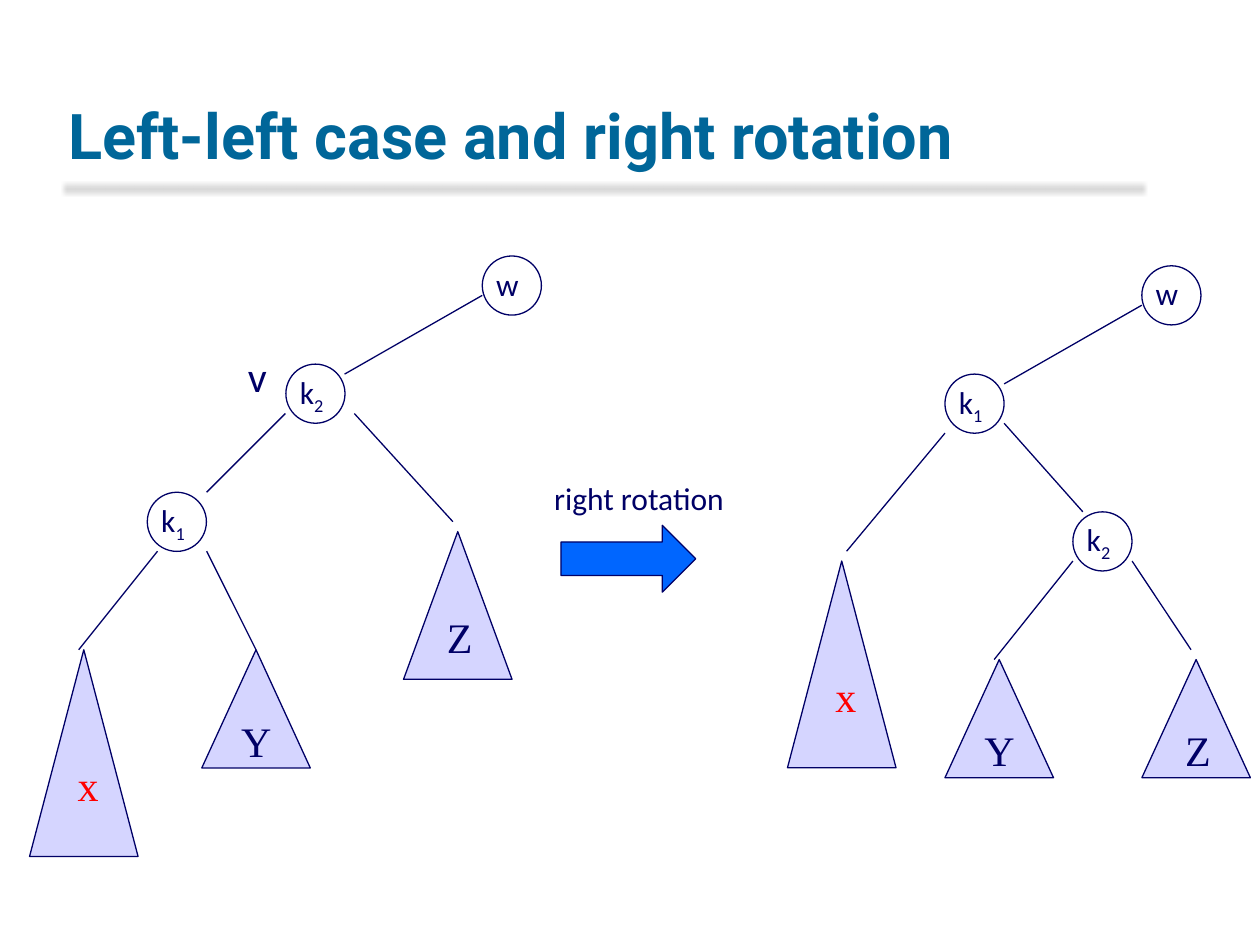
from lxml.etree import SubElement
from pptx import Presentation
from pptx.dml.color import RGBColor
from pptx.enum.shapes import MSO_CONNECTOR, MSO_SHAPE
from pptx.enum.text import MSO_ANCHOR, MSO_AUTO_SIZE, PP_ALIGN
from pptx.oxml.ns import qn
from pptx.util import Pt

COLORS = {
    "title": "006699",
    "rule": "D9D9D9",
    "ink": "000066",
    "subtree": "D5D5FF",
    "changed": "FF0000",
    "arrow": "0066FF",
}
NODE_SIZE = 33.8
SUBTREE_WIDTH = 62

NODES = [
    ("k", "2", 163.4, 208.1),
    ("k", "1", 84.2, 281.3),
    ("w", "", 275.6, 146.3),
    ("k", "2", 613.1, 292.5),
    ("k", "1", 540, 213.8),
    ("w", "", 652.5, 151.9),
]
EDGES = [
    (90, 315, 45, 371.3),
    (163.1, 236.3, 118.1, 281.3),
    (118.1, 315, 146.3, 371.3),
    (202.5, 236.3, 258.8, 298.1),
    (196.9, 213.8, 275.6, 168.8),
    (613.1, 320.6, 568.1, 376.9),
    (540, 247.5, 483.8, 315),
    (646.9, 320.6, 680.6, 371.3),
    (573.8, 241.9, 618.8, 292.5),
    (573.8, 219.4, 652.5, 174.4),
]
SUBTREES = [
    ("Y", 115.3, 371.3, 67.5, "ink"),
    ("Z", 230.6, 303.8, 84.4, "ink"),
    ("x", 16.9, 371.3, 118.1, "changed"),
    ("Y", 540, 376.9, 67.5, "ink"),
    ("Z", 652.5, 376.9, 67.5, "ink"),
    ("x", 450, 320.6, 118.1, "changed"),
]


def color(name):
    return RGBColor.from_string(COLORS[name])


def add_run(para, text, font, size, color_name, subscript=False):
    span = para.add_run()
    span.text = text
    span.font.name = font
    span.font.size = Pt(size)
    span.font.color.rgb = color(color_name)
    if subscript:
        span.font._element.set("baseline", "-25000")
    return span


def add_outline(shapes, kind, left, top, width, height, fill=None):
    shape = shapes.add_shape(kind, Pt(left), Pt(top), Pt(width), Pt(height))
    shape.shadow.inherit = False
    if fill:
        shape.fill.solid()
        shape.fill.fore_color.rgb = color(fill)
    else:
        shape.fill.background()
    shape.line.color.rgb = color("ink")
    shape.line.width = Pt(0.75)
    return shape


def add_label(shapes, text, left, top, width, height, size, subscript=""):
    box = shapes.add_textbox(Pt(left), Pt(top), Pt(width), Pt(height))
    box.text_frame.word_wrap = False
    box.text_frame.auto_size = MSO_AUTO_SIZE.SHAPE_TO_FIT_TEXT
    para = box.text_frame.paragraphs[0]
    add_run(para, text, "Calibri", size, "ink")
    if subscript:
        add_run(para, subscript, "Calibri", size, "ink", subscript=True)


def add_node(page, text, subscript, left, top):
    node = page.shapes.add_group_shape()
    add_outline(node.shapes, MSO_SHAPE.OVAL, left, top, NODE_SIZE, NODE_SIZE)
    width = 29.5 if subscript else 27.4
    add_label(node.shapes, text, left + 0.8, top + 1.4, width, 28.8, 18, subscript)


def add_edge(page, start_x, start_y, end_x, end_y):
    edge = page.shapes.add_connector(
        MSO_CONNECTOR.STRAIGHT, Pt(start_x), Pt(start_y), Pt(end_x), Pt(end_y)
    )
    edge.line.color.rgb = color("ink")
    edge.line.width = Pt(0.75)
    SubElement(edge._element.spPr, qn("a:effectLst"))


def add_subtree(page, text, left, top, height, text_color):
    subtree = add_outline(
        page.shapes, MSO_SHAPE.ISOSCELES_TRIANGLE,
        left, top, SUBTREE_WIDTH, height, "subtree",
    )
    frame = subtree.text_frame
    frame.vertical_anchor = MSO_ANCHOR.TOP
    para = frame.paragraphs[0]
    para.alignment = PP_ALIGN.RIGHT
    add_run(para, text, "Times New Roman", 24, text_color)


def add_title(page, text):
    title = page.shapes.title
    title.left, title.top = Pt(31.7), Pt(12.2)
    title.width, title.height = Pt(612), Pt(90)
    frame = title.text_frame
    frame.word_wrap = True
    frame.auto_size = MSO_AUTO_SIZE.NONE
    frame.vertical_anchor = MSO_ANCHOR.BOTTOM
    para = frame.paragraphs[0]
    para.alignment = PP_ALIGN.LEFT
    add_run(para, text, "Roboto", 36, "title").font.bold = True


def add_title_rule(page):
    rule = add_outline(page.shapes, MSO_SHAPE.RECTANGLE, 35, 104, 621, 8.5, "rule")
    rule.line.fill.background()
    effects = rule._element.spPr.find(qn("a:effectLst"))
    SubElement(effects, qn("a:softEdge"), rad=str(Pt(2)))


def main():
    deck = Presentation()
    deck.slide_width, deck.slide_height = Pt(720), Pt(540)
    page = deck.slides.add_slide(deck.slide_layouts[5])
    add_title_rule(page)
    add_title(page, "Left-left case and right rotation")
    for edge in EDGES:
        add_edge(page, *edge)
    for subtree in SUBTREES:
        add_subtree(page, *subtree)
    for node in NODES:
        add_node(page, *node)
    add_label(page.shapes, "v", 134.6, 196.6, 25.2, 36, 24)
    add_outline(page.shapes, MSO_SHAPE.RIGHT_ARROW, 320.6, 300.2, 77, 38.2, "arrow")
    add_label(page.shapes, "right rotation", 309.6, 270, 113, 28.8, 18)
    deck.save("out.pptx")


if __name__ == "__main__":
    main()
